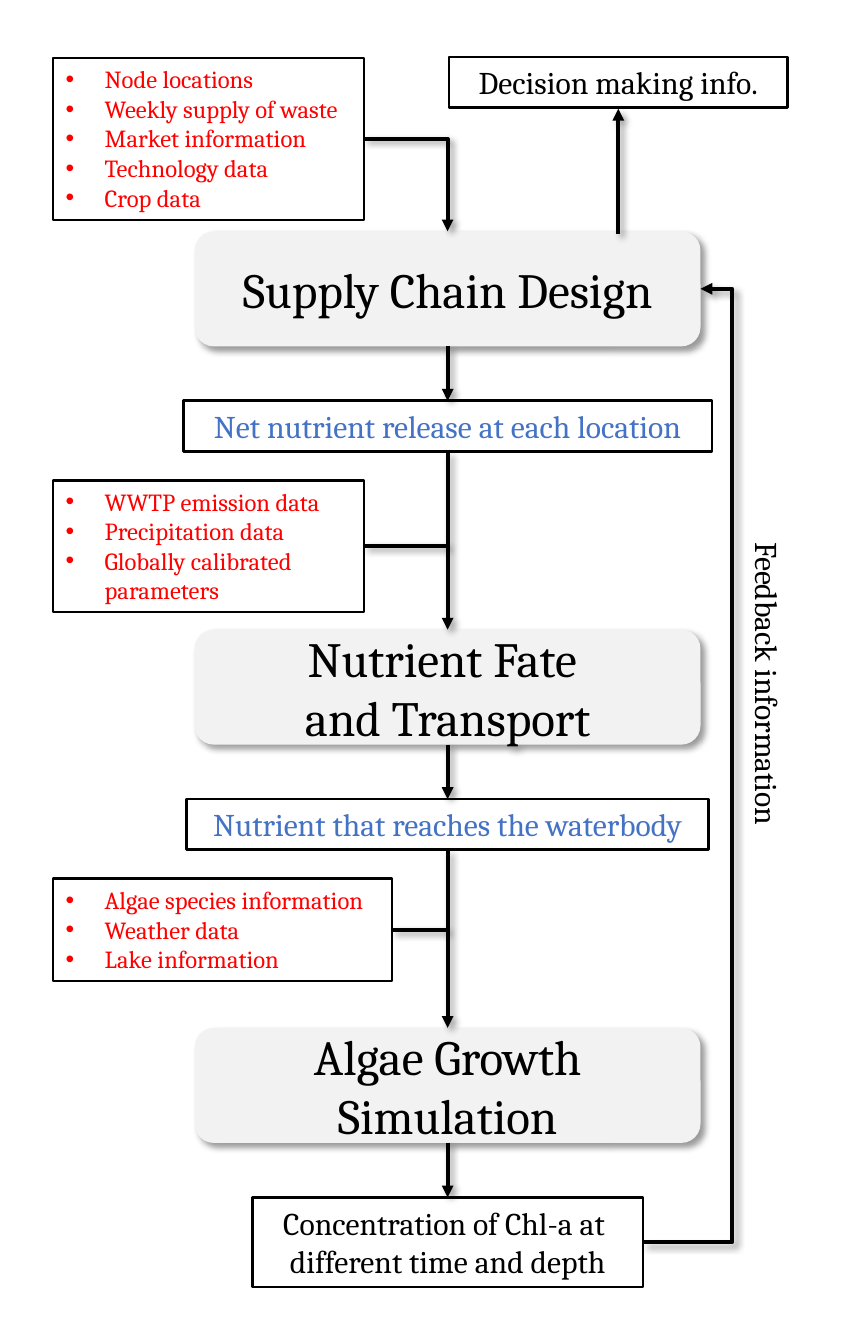
"""Build a flow chart of nutrient modelling stages with a feedback loop."""
from dataclasses import dataclass

from lxml import etree
from pptx import Presentation
from pptx.dml.color import RGBColor
from pptx.enum.shapes import MSO_CONNECTOR, MSO_SHAPE
from pptx.enum.text import MSO_ANCHOR, MSO_AUTO_SIZE, PP_ALIGN
from pptx.oxml.ns import qn
from pptx.util import Inches, Pt


@dataclass(frozen=True)
class Theme:
    font: str = "Cambria"
    ink: str = "000000"
    input_ink: str = "FF0000"
    result_ink: str = "4472C4"
    stage_fill: str = "F2F2F2"
    stage_size: int = 28
    label_size: int = 18
    input_size: int = 14
    border: float = 1.5
    arrow: float = 2.25


@dataclass(frozen=True)
class Box:
    left: float
    top: float
    width: float
    height: float

    @property
    def right(self) -> float:
        return self.left + self.width

    @property
    def bottom(self) -> float:
        return self.top + self.height

    @property
    def middle(self) -> float:
        return self.top + self.height / 2

    @property
    def emu(self) -> tuple:
        return tuple(Inches(v) for v in (self.left, self.top, self.width, self.height))


@dataclass(frozen=True)
class Stage:
    title: str
    inputs: str
    input_box: Box
    result: str
    result_width: float
    result_height: float
    result_ink: str


THEME = Theme()
AXIS = 3.54
FIRST_TOP, STAGE_PITCH = 1.83, 3.15
STAGE_WIDTH, STAGE_HEIGHT = 4, 0.91
RESULT_GAP = 0.43
INPUT_LEFT, LABEL_HEIGHT = 0.42, 0.4
FEEDBACK_X = 5.79
DECISION_X = 4.89

STAGES = (
    Stage("Supply Chain Design",
          "Node locations \nWeekly supply of waste\nMarket information\nTechnology data\nCrop data",
          Box(INPUT_LEFT, 0.46, 2.46, 1.28),
          "Net nutrient release at each location", 4.18, LABEL_HEIGHT, THEME.result_ink),
    Stage("Nutrient Fate \nand Transport",
          "WWTP emission data\nPrecipitation data\nGlobally calibrated parameters",
          Box(INPUT_LEFT, 3.8, 2.46, 1.04),
          "Nutrient that reaches the waterbody", 4.13, LABEL_HEIGHT, THEME.result_ink),
    Stage("Algae Growth Simulation",
          "Algae species information\nWeather data\nLake information",
          Box(INPUT_LEFT, 6.95, 2.68, 0.81),
          "Concentration of Chl-a at \ndifferent time and depth", 3.09, 0.71, THEME.ink),
)

deck = Presentation()
deck.slide_width, deck.slide_height = Inches(6.69), Inches(10.63)
slide = deck.slides.add_slide(deck.slide_layouts[6])


def child(parent, tag: str, **attributes):
    """Append a DrawingML element and return it."""
    return etree.SubElement(parent, qn(f"a:{tag}"), {k: str(v) for k, v in attributes.items()})


def add_shadow(effects) -> None:
    """Fill an effect list with the soft diagonal shadow."""
    shadow = child(effects, "outerShdw", blurRad=Pt(4), dist=Pt(3), dir=45 * 60000,
                   algn="tl", rotWithShape=0)
    child(child(shadow, "srgbClr", val=THEME.ink), "alpha", val=40000)


def write(frame, text: str, size: int, ink: str, align=PP_ALIGN.CENTER) -> None:
    """Set text and format every run."""
    frame.text = text
    frame.word_wrap = True
    for paragraph in frame.paragraphs:
        paragraph.alignment = align
        for run in paragraph.runs:
            run.font.name, run.font.size = THEME.font, Pt(size)
            run.font.color.rgb = RGBColor.from_string(ink)


def add_label(box: Box, text: str, ink: str = THEME.ink, size: int = THEME.label_size,
              align=PP_ALIGN.CENTER):
    """Draw an outlined text box and return its text frame."""
    label = slide.shapes.add_shape(MSO_SHAPE.RECTANGLE, *box.emu)
    label.shadow.inherit = False
    label.fill.background()
    label.line.color.rgb = RGBColor.from_string(THEME.ink)
    label.line.width = Pt(THEME.border)
    frame = label.text_frame
    write(frame, text, size, ink, align)
    frame.vertical_anchor = MSO_ANCHOR.TOP
    frame.auto_size = MSO_AUTO_SIZE.SHAPE_TO_FIT_TEXT
    return frame


def add_inputs(box: Box, text: str) -> None:
    """Draw a bulleted list of input data."""
    frame = add_label(box, text, THEME.input_ink, THEME.input_size, PP_ALIGN.LEFT)
    for paragraph in frame.paragraphs:
        properties = paragraph._p.get_or_add_pPr()
        properties.set("marL", str(Inches(0.31)))
        properties.set("indent", str(-Inches(0.31)))
        child(properties, "buFont", typeface="Arial")
        child(properties, "buChar", char="•")


def add_stage(box: Box, title: str) -> None:
    """Draw a shaded, rounded model stage."""
    block = slide.shapes.add_shape(MSO_SHAPE.ROUNDED_RECTANGLE, *box.emu)
    block.fill.solid()
    block.fill.fore_color.rgb = RGBColor.from_string(THEME.stage_fill)
    block.line.fill.background()
    block.shadow.inherit = False
    add_shadow(block._element.spPr.find(qn("a:effectLst")))
    write(block.text_frame, title, THEME.stage_size, THEME.ink)
    block.text_frame.vertical_anchor = MSO_ANCHOR.MIDDLE


def add_link(start: tuple, end: tuple, arrow: bool = True, kind=MSO_CONNECTOR.STRAIGHT):
    """Draw a shadowed connector and return its geometry element."""
    link = slide.shapes.add_connector(kind, *(Inches(v) for v in (*start, *end)))
    link.line.color.rgb = RGBColor.from_string(THEME.ink)
    link.line.width = Pt(THEME.arrow)
    properties = link._element.spPr
    if arrow:
        child(properties.find(qn("a:ln")), "tailEnd", type="triangle")
    add_shadow(child(properties, "effectLst"))
    return properties.find(qn("a:prstGeom"))


def centred(top: float, width: float, height: float) -> Box:
    """Return a box centred on the main axis."""
    return Box(AXIS - width / 2, top, width, height)


stage_boxes = [centred(FIRST_TOP + i * STAGE_PITCH, STAGE_WIDTH, STAGE_HEIGHT)
               for i in range(len(STAGES))]
result_boxes = [centred(box.bottom + RESULT_GAP, stage.result_width, stage.result_height)
                for box, stage in zip(stage_boxes, STAGES)]

for stage, stage_box, result_box in zip(STAGES, stage_boxes, result_boxes):
    add_stage(stage_box, stage.title)
    add_inputs(stage.input_box, stage.inputs)
    add_label(result_box, stage.result, stage.result_ink)
    add_link((AXIS, stage_box.bottom), (AXIS, result_box.top))

for result_box, next_box in zip(result_boxes, stage_boxes[1:]):
    add_link((AXIS, result_box.bottom), (AXIS, next_box.top))

for stage in STAGES[1:]:
    source = stage.input_box
    add_link((source.right, source.middle), (AXIS, source.middle), arrow=False)

supply_input, supply_stage = STAGES[0].input_box, stage_boxes[0]
corner = add_link((supply_input.right, supply_input.middle), (AXIS, supply_stage.top),
                  kind=MSO_CONNECTOR.ELBOW)
corner.set("prst", "bentConnector2")

decision_box = Box(DECISION_X - 1.34, 0.45, 2.68, LABEL_HEIGHT)
add_label(decision_box, "Decision making info.")
add_link((DECISION_X, supply_stage.top + 0.02), (DECISION_X, decision_box.bottom + 0.01))

final = result_boxes[-1]
feedback = add_link((final.right, final.middle), (supply_stage.right, supply_stage.middle),
                    kind=MSO_CONNECTOR.ELBOW)
bend = (FEEDBACK_X - final.right) / (supply_stage.right - final.right)
child(feedback.find(qn("a:avLst")), "gd", name="adj1", fmla=f"val {round(bend * 100000)}")

feedback_text = slide.shapes.add_textbox(*Box(5.78, 4.19, 0.49, 2.48).emu).text_frame
write(feedback_text, "Feedback information", THEME.label_size, THEME.ink)
feedback_text.auto_size = MSO_AUTO_SIZE.SHAPE_TO_FIT_TEXT
feedback_text._txBody.bodyPr.set("vert", "eaVert")

deck.save("out.pptx")
